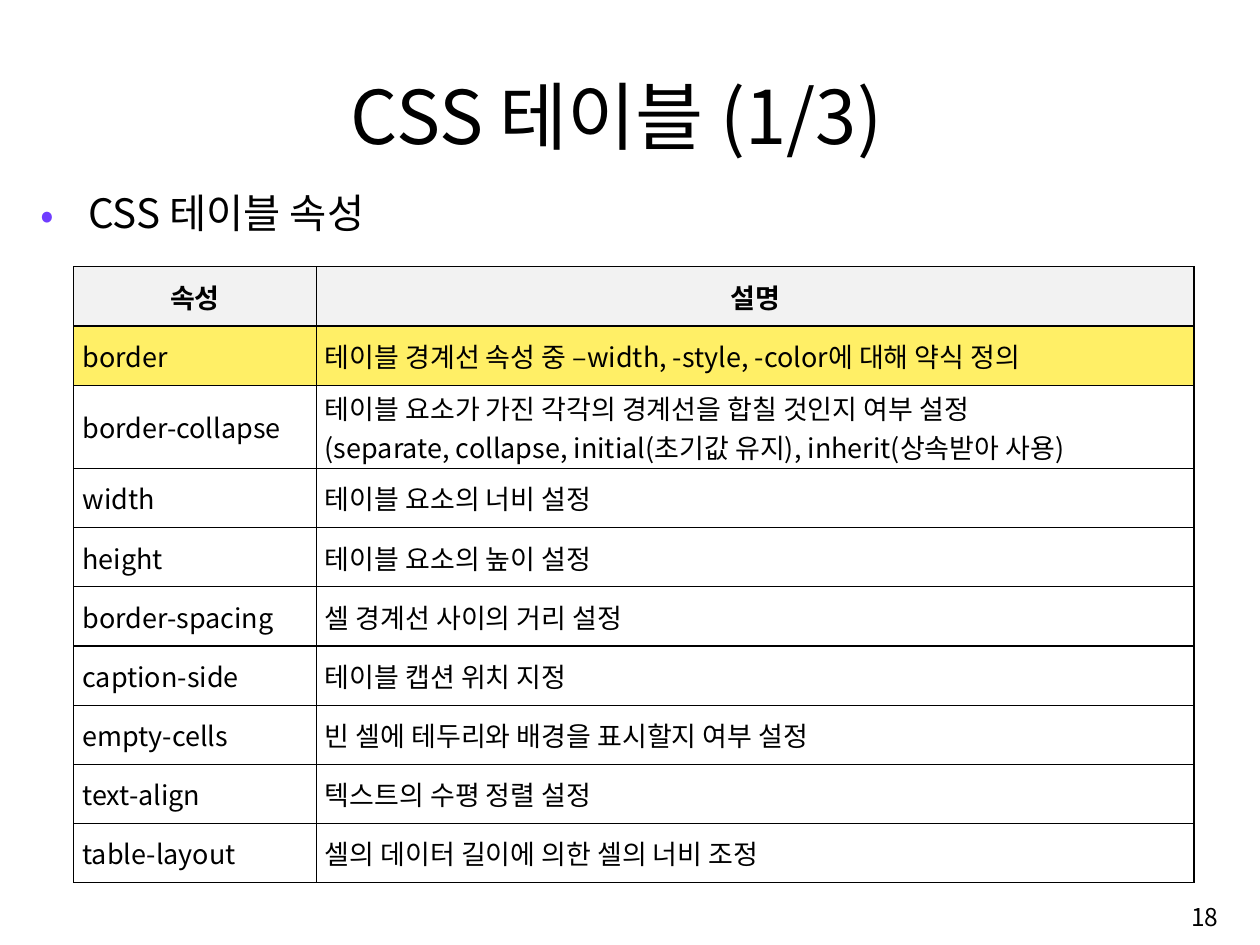
from lxml.etree import SubElement
from pptx import Presentation
from pptx.dml.color import RGBColor
from pptx.enum.text import MSO_ANCHOR, PP_ALIGN
from pptx.oxml import parse_xml
from pptx.oxml.ns import nsdecls, qn
from pptx.util import Inches, Pt

FONT = "Noto Sans CJK KR"
COLORS = {"text": "000000", "bullet": "703DFF", "header": "F2F2F2", "highlight": "FFEF66"}
HEADER = ("속성", "설명")
PROPERTIES = [
    ("border", "테이블 경계선 속성 중 –width, -style, -color에 대해 약식 정의"),
    ("border-collapse", "테이블 요소가 가진 각각의 경계선을 합칠 것인지 여부 설정\n"
                        "(separate, collapse, initial(초기값 유지), inherit(상속받아 사용)"),
    ("width", "테이블 요소의 너비 설정"),
    ("height", "테이블 요소의 높이 설정"),
    ("border-spacing", "셀 경계선 사이의 거리 설정"),
    ("caption-side", "테이블 캡션 위치 지정"),
    ("empty-cells", "빈 셀에 테두리와 배경을 표시할지 여부 설정"),
    ("text-align", "텍스트의 수평 정렬 설정"),
    ("table-layout", "셀의 데이터 길이에 의한 셀의 너비 조정"),
]
COLUMN_WIDTHS = (2.5, 9.05)
ROW_HEIGHT, TALL_ROW_HEIGHT = 0.61, 0.86


def add_run(p, text, size, bold=False):
    r = p.add_run()
    r.text = text
    r.font.name, r.font.size, r.font.bold = FONT, Pt(size), bold
    r.font.color.rgb = RGBColor.from_string(COLORS["text"])


def add_text(slide, box, text, size, align, anchor, inset_y=0.05):
    """Add a one-paragraph text box and return its paragraph."""
    tf = slide.shapes.add_textbox(*map(Inches, box)).text_frame
    tf.word_wrap = True
    tf.vertical_anchor = anchor
    tf.margin_top = tf.margin_bottom = Inches(inset_y)
    p = tf.paragraphs[0]
    p.alignment = align
    add_run(p, text, size)
    return p


def add_title(slide, box):
    add_text(slide, box, "CSS 테이블 (1/3)", 55, PP_ALIGN.CENTER, MSO_ANCHOR.BOTTOM, 0)


def add_bullet(slide, box):
    p = add_text(slide, box, "CSS 테이블 속성", 30, PP_ALIGN.LEFT, MSO_ANCHOR.TOP)
    pPr = p._p.get_or_add_pPr()
    pPr.set("marL", str(Inches(0.49)))
    pPr.set("indent", str(Inches(-0.49)))
    color = SubElement(pPr, qn("a:buClr"))
    SubElement(color, qn("a:srgbClr"), val=COLORS["bullet"])
    SubElement(pPr, qn("a:buFont"), typeface=FONT)
    SubElement(pPr, qn("a:buChar"), char="•")


def add_page_number(slide, box):
    add_text(slide, box, "18", 18.2, PP_ALIGN.RIGHT, MSO_ANCHOR.MIDDLE)


def add_borders(cell):
    tcPr = cell._tc.get_or_add_tcPr()
    for i, side in enumerate("LRTB"):
        tcPr.insert(i, parse_xml(
            f'<a:ln{side} {nsdecls("a")} w="{Pt(1)}"><a:solidFill>'
            f'<a:srgbClr val="{COLORS["text"]}"/></a:solidFill></a:ln{side}>'))


def fill_cell(cell, text, fill, is_header):
    cell.vertical_anchor = MSO_ANCHOR.MIDDLE
    cell.margin_left = cell.margin_right = Inches(0.09)
    cell.margin_top = cell.margin_bottom = Inches(0.03)
    tf = cell.text_frame
    for i, line in enumerate(text.split("\n")):
        p = tf.add_paragraph() if i else tf.paragraphs[0]
        p.alignment = PP_ALIGN.CENTER if is_header else PP_ALIGN.JUSTIFY
        add_run(p, line, 20, is_header)
    add_borders(cell)
    if fill:
        cell.fill.solid()
        cell.fill.fore_color.rgb = RGBColor.from_string(COLORS[fill])
    else:
        cell.fill.background()


def add_property_table(slide, box):
    rows = [HEADER, *PROPERTIES]
    table = slide.shapes.add_table(len(rows), len(HEADER), *map(Inches, box)).table
    for column, width in zip(table.columns, COLUMN_WIDTHS):
        column.width = Inches(width)
    fills = {0: "header", 1: "highlight"}
    for i, row in enumerate(rows):
        is_tall = any("\n" in text for text in row)
        table.rows[i].height = Inches(TALL_ROW_HEIGHT if is_tall else ROW_HEIGHT)
        for j, text in enumerate(row):
            fill_cell(table.cell(i, j), text, fills.get(i), i == 0)


def main():
    prs = Presentation()
    prs.slide_width, prs.slide_height = Inches(12.99), Inches(9.74)
    slide = prs.slides.add_slide(prs.slide_layouts[6])
    add_bullet(slide, (0.32, 1.89, 12.32, 7.06))
    add_property_table(slide, (0.76, 2.75, 11.55, 6.35))
    add_page_number(slide, (9.98, 9.15, 2.68, 0.6))
    add_title(slide, (1.05, 0.56, 10.61, 1.08))
    prs.save("out.pptx")


if __name__ == "__main__":
    main()
